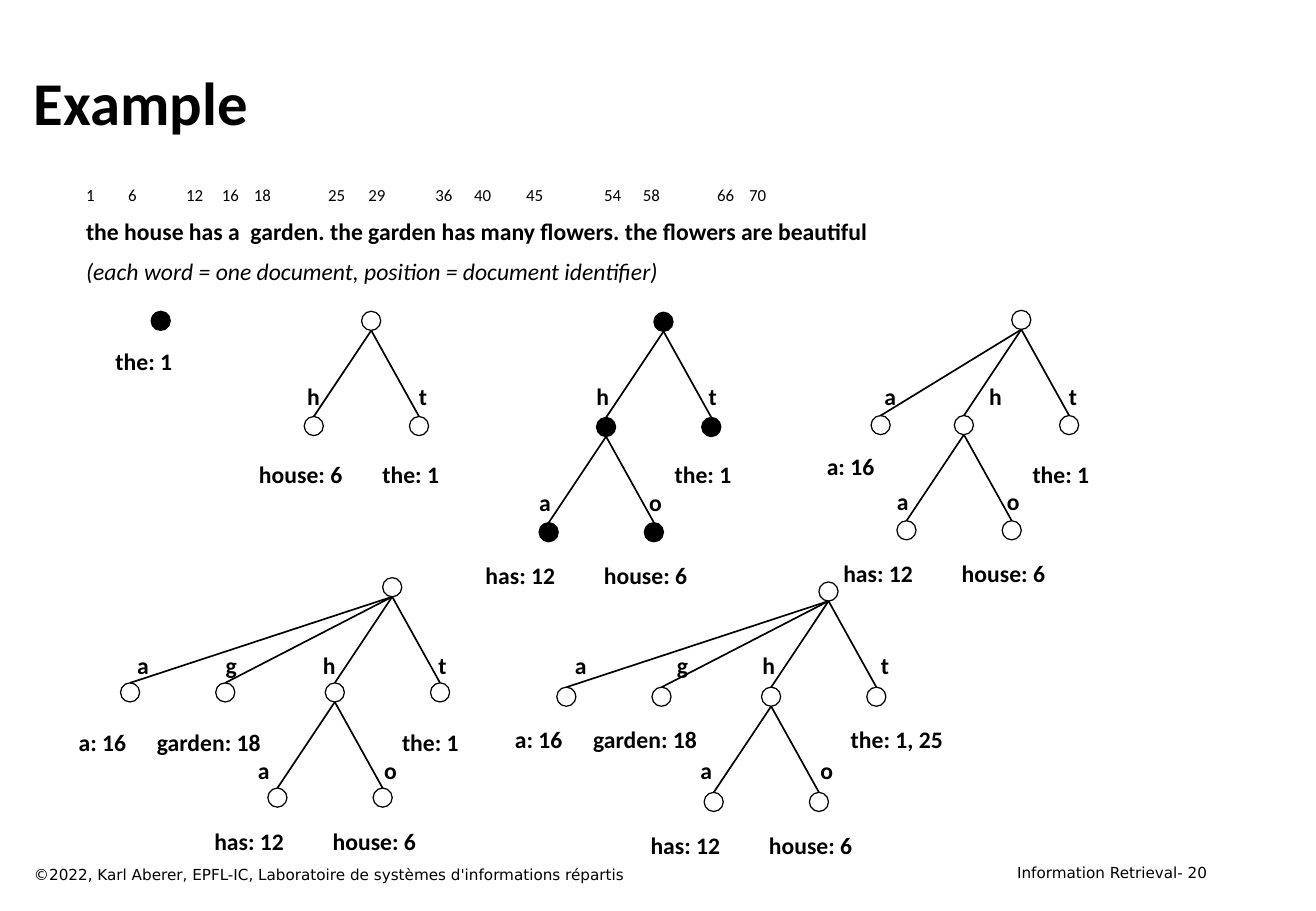
from dataclasses import dataclass

import pptx
import pptx.dml.color
import pptx.enum.shapes
import pptx.enum.text
import pptx.oxml.ns
import pptx.oxml.xmlchemy
import pptx.shapes.autoshape
import pptx.slide
import pptx.text.text
import pptx.util
from lxml import etree
from pptx.util import Cm

COLORS = {"ink": "000000"}
NODE_SIZE = 0.4
LEVEL_DROP = 2.2
LABEL_HEIGHT = 0.86
LETTER_WIDTH = 0.78
LABEL_WIDTHS = {
    "t": 0.69, "a: 16": 1.63, "the: 1": 1.83, "has: 12": 2.08,
    "house: 6": 2.39, "garden: 18": 2.82, "the: 1, 25": 2.57,
}
POSITIONS = (1, 6, 12, 16, 18, 25, 29, 36, 40, 45, 54, 58, 66, 70)
POSITION_TABS = (0.88, 2.09, 2.84, 3.51, 5.06, 5.9, 7.3, 8.11, 9.2,
                 10.83, 11.64, 13.19, 13.86)


@dataclass(frozen=True)
class Branch:
    """A child node; every dx and dy is a distance in cm between centres."""
    letter: str
    dx: float
    letter_dx: float
    caption: str = ""
    caption_dx: float = -0.1
    caption_dy: float = 0.91
    children: tuple["Branch", ...] = ()


@dataclass(frozen=True)
class Trie:
    x: float
    y: float
    letter_dy: float = 0
    branches: tuple[Branch, ...] = ()
    filled: bool = False
    caption: str = ""


def h_branch(letter_dx: float, a_dx: float, o_dx: float) -> Branch:
    """The h node that splits into has and house."""
    return Branch("h", -1.2, letter_dx, children=(
        Branch("a", -1.2, a_dx, "has: 12", -0.53),
        Branch("o", 1, o_dx, "house: 6"),
    ))


TRIES = (
    Trie(3.36, 6.71, filled=True, caption="the: 1"),
    Trie(7.76, 6.71, -0.62, (
        Branch("h", -1.2, 0, "house: 6", -0.2, 1.02),
        Branch("t", 1, 0.09, "the: 1", caption_dy=1.02),
    )),
    Trie(13.87, 6.73, -0.63, (
        h_branch(-0.06, -0.06, 0.04),
        Branch("t", 1, 0.04, "the: 1", caption_dy=1),
    ), filled=True),
    Trie(21.35, 6.69, -0.6, (
        Branch("a", -2.94, 0.22, "a: 16", -0.56, 0.86),
        h_branch(0.67, -0.06, 0.04),
        Branch("t", 1, 0.09, "the: 1", caption_dy=1.04),
    )),
    Trie(8.2, 12.28, -0.56, (
        Branch("a", -5.48, 0.29, "a: 16", -0.51, 1.04),
        Branch("g", -3.49, 0.15, "garden: 18", -0.27, 1.04),
        h_branch(-0.11, -0.27, 0.17),
        Branch("t", 1, 0.06, "the: 1", -0.13, 1.04),
    )),
    Trie(17.32, 12.37, -0.65, (
        Branch("a", -5.48, 0.32, "a: 16", -0.51, 0.89),
        Branch("g", -3.49, 0.46, "garden: 18", -0.27, 0.89),
        h_branch(-0.04, -0.14, 0.17),
        Branch("t", 1, 0.19, "the: 1, 25", 0.5, 0.89),
    )),
)


def ink() -> pptx.dml.color.RGBColor:
    return pptx.dml.color.RGBColor.from_string(COLORS["ink"])


def style(para: pptx.text.text._Paragraph, size: float, name: str = "Calibri",
          bold: bool = False, italic: bool = False) -> None:
    font = para.font
    font.size = pptx.util.Pt(size)
    font.name = name
    font.bold = bold
    font.italic = italic
    font.color.rgb = ink()


def add_box(page: pptx.slide.Slide, left: float, top: float, width: float,
            height: float, text: str, wrap: bool = True) -> pptx.text.text.TextFrame:
    box = page.shapes.add_textbox(Cm(left), Cm(top), Cm(width), Cm(height))
    frame = box.text_frame
    frame.word_wrap = wrap
    frame.text = text
    return frame


def add_label(page: pptx.slide.Slide, x: float, y: float, text: str) -> None:
    """Write a letter or caption in a box centred on x, y."""
    width = LABEL_WIDTHS.get(text, LETTER_WIDTH)
    frame = add_box(page, x - width / 2, y - LABEL_HEIGHT / 2,
                    width, LABEL_HEIGHT, text, wrap=False)
    frame.auto_size = pptx.enum.text.MSO_AUTO_SIZE.SHAPE_TO_FIT_TEXT
    style(frame.paragraphs[0], 14, bold=True)


def add_node(page: pptx.slide.Slide, x: float, y: float, filled: bool) -> None:
    node = page.shapes.add_shape(
        pptx.enum.shapes.MSO_SHAPE.OVAL, Cm(x - NODE_SIZE / 2),
        Cm(y - NODE_SIZE / 2), Cm(NODE_SIZE), Cm(NODE_SIZE))
    node.shadow.inherit = False
    if filled:
        node.fill.solid()
        node.fill.fore_color.rgb = ink()
    else:
        node.fill.background()
    node.line.color.rgb = ink()
    node.line.width = pptx.util.Pt(0.75)


def add_edge(page: pptx.slide.Slide, x: float, y: float,
             child_x: float, child_y: float) -> None:
    """Join the bottom of a node to the top of its child."""
    edge = page.shapes.add_connector(
        pptx.enum.shapes.MSO_CONNECTOR.STRAIGHT, Cm(x), Cm(y + NODE_SIZE / 2),
        Cm(child_x), Cm(child_y - NODE_SIZE / 2))
    edge.line.color.rgb = ink()
    edge.line.width = pptx.util.Pt(1)
    etree.SubElement(edge._element.spPr, pptx.oxml.ns.qn("a:effectLst"))


def add_branches(page: pptx.slide.Slide, trie: Trie, x: float, y: float,
                 branches: tuple[Branch, ...]) -> None:
    for branch in branches:
        child_x, child_y = x + branch.dx, y + LEVEL_DROP
        add_edge(page, x, y, child_x, child_y)
        add_node(page, child_x, child_y, trie.filled)
        add_label(page, child_x + branch.letter_dx, child_y + trie.letter_dy, branch.letter)
        if branch.caption:
            add_label(page, child_x + branch.caption_dx,
                      child_y + branch.caption_dy, branch.caption)
        add_branches(page, trie, child_x, child_y, branch.children)


def add_sentence(page: pptx.slide.Slide) -> None:
    """Write the word positions, the sentence and its explanation."""
    frame = add_box(page, 1.55, 3.73, 23.06, 2.21, "\t".join(map(str, POSITIONS)))
    numbers = frame.paragraphs[0]
    tabs = etree.SubElement(numbers._p.get_or_add_pPr(), pptx.oxml.ns.qn("a:tabLst"))
    for position in POSITION_TABS:
        etree.SubElement(tabs, pptx.oxml.ns.qn("a:tab"), pos=str(Cm(position)), algn="l")
    style(numbers, 10)
    sentence = frame.add_paragraph()
    sentence.text = ("the house has a  garden. the garden has many flowers. "
                     "the flowers are beautiful")
    style(sentence, 14, bold=True)
    note = frame.add_paragraph()
    note.text = "(each word = one document, position = document identifier)"
    style(note, 14, italic=True)
    for para in (sentence, note):
        para.space_before = pptx.util.Pt(7)


def add_title_and_footer(page: pptx.slide.Slide) -> None:
    title = add_box(page, 0.46, 0.84, 25, 2.54, "Example")
    title.vertical_anchor = pptx.enum.text.MSO_ANCHOR.MIDDLE
    style(title.paragraphs[0], 36, bold=True)
    rights = add_box(page, 0.46, 17.98, 17.65, 0.64,
                     "©2022, Karl Aberer, EPFL-IC, Laboratoire de systèmes "
                     "d'informations répartis")
    number = add_box(page, 19.74, 17.93, 5.74, 0.64, "Information Retrieval- 20")
    number.paragraphs[0].alignment = pptx.enum.text.PP_ALIGN.RIGHT
    for frame in (rights, number):
        style(frame.paragraphs[0], 9, "DejaVu Sans")


def main() -> None:
    deck = pptx.Presentation()
    deck.slide_width, deck.slide_height = Cm(27.51), Cm(19.05)
    page = deck.slides.add_slide(deck.slide_layouts[6])
    add_title_and_footer(page)
    add_sentence(page)
    for trie in TRIES:
        add_node(page, trie.x, trie.y, trie.filled)
        if trie.caption:
            add_label(page, trie.x - 0.28, trie.y + 0.84, trie.caption)
        add_branches(page, trie, trie.x, trie.y, trie.branches)
    deck.save("out.pptx")


if __name__ == "__main__":
    main()
